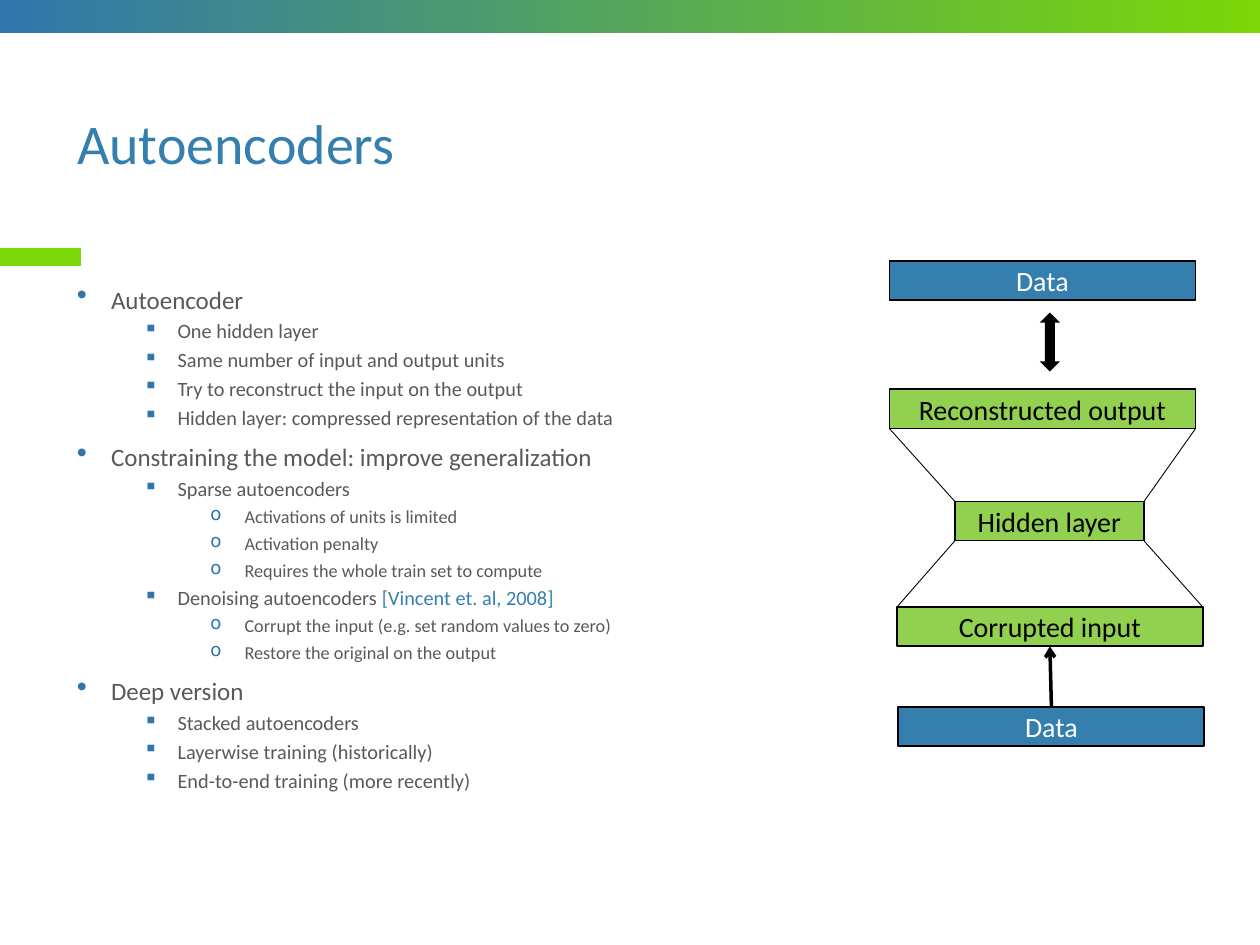
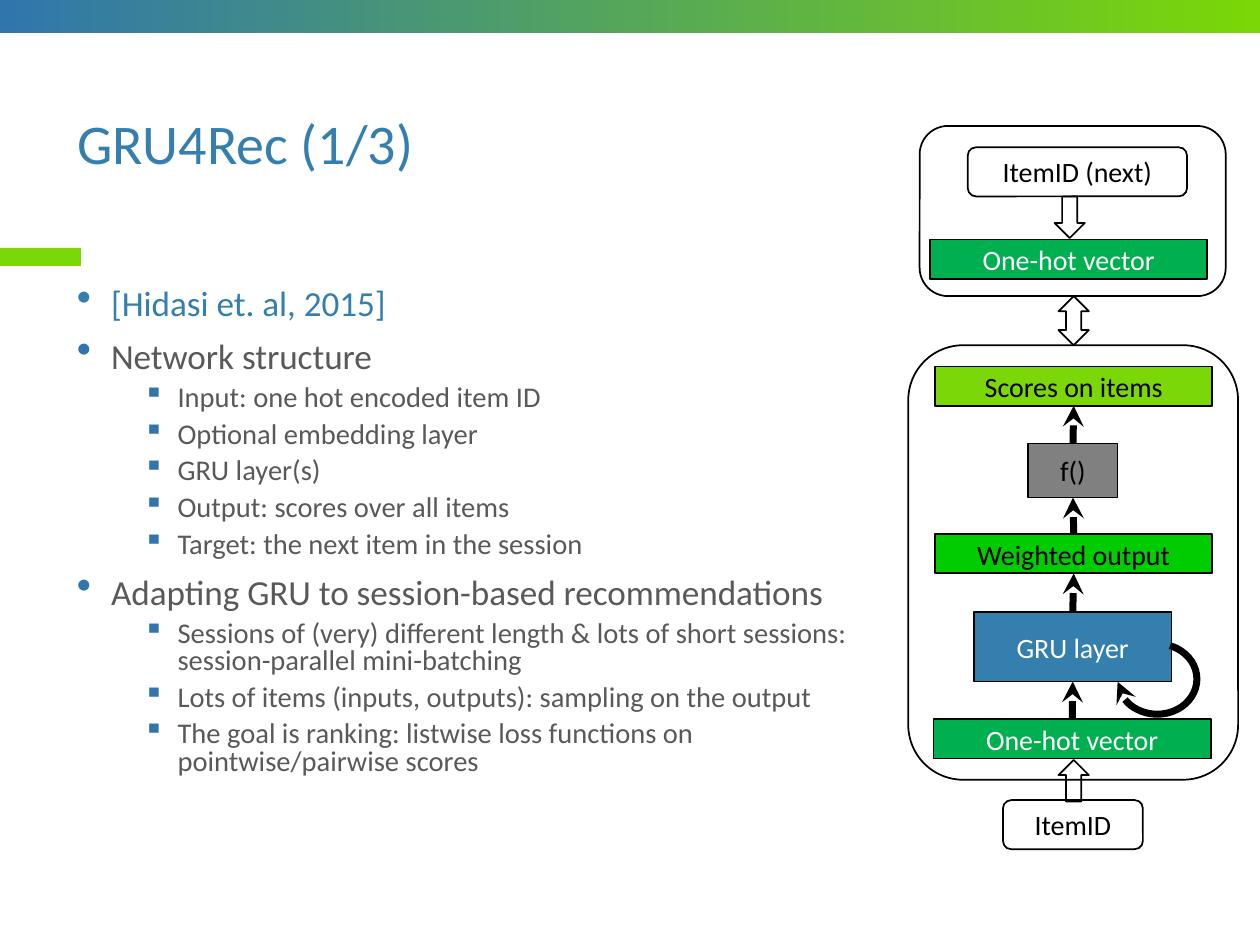
from dataclasses import dataclass

from lxml.etree import SubElement
from pptx import Presentation
from pptx.dml.color import RGBColor
from pptx.enum.shapes import MSO_CONNECTOR, MSO_SHAPE
from pptx.enum.text import MSO_ANCHOR, PP_ALIGN
from pptx.oxml.ns import qn
from pptx.util import Cm, Pt


@dataclass(frozen=True)
class Theme:
    font: str = "Calibri"
    blue: str = "347FAD"
    band_blue: str = "3076AD"
    lime: str = "7BD707"
    soft_green: str = "92D050"
    one_hot_green: str = "00B050"
    output_green: str = "00CC00"
    gray: str = "808080"
    body: str = "595959"
    black: str = "000000"
    white: str = "FFFFFF"
    title_size: float = 32
    label_size: float = 16
    dense_sizes: tuple = (14.3, 11.6, 10.4)
    normal_sizes: tuple = (20.1, 16.3)


@dataclass(frozen=True)
class Level:
    bullet: str
    indent: float
    space_before: float
    bullet_percent: int = 100


LEVELS = (Level("•", 0.69, 10.7, 120), Level("▪", 2.03, 5.3), Level("o", 3.38, 5.3))
HANGING = Cm(0.69)
TOP, BOTTOM = 0, 2
BOX_HEIGHT = 0.79

AUTOENCODER_POINTS = (
    (0, "Autoencoder"),
    (1, "One hidden layer"),
    (1, "Same number of input and output units"),
    (1, "Try to reconstruct the input on the output"),
    (1, "Hidden layer: compressed representation of the data"),
    (0, "Constraining the model: improve generalization"),
    (1, "Sparse autoencoders"),
    (2, "Activations of units is limited"),
    (2, "Activation penalty"),
    (2, "Requires the whole train set to compute"),
    (1, "Denoising autoencoders [Vincent et. al, 2008]"),
    (2, "Corrupt the input (e.g. set random values to zero)"),
    (2, "Restore the original on the output"),
    (0, "Deep version"),
    (1, "Stacked autoencoders"),
    (1, "Layerwise training (historically)"),
    (1, "End-to-end training (more recently)"),
)
GRU4REC_POINTS = (
    (0, "[Hidasi et. al, 2015]"),
    (0, "Network structure"),
    (1, "Input: one hot encoded item ID"),
    (1, "Optional embedding layer"),
    (1, "GRU layer(s)"),
    (1, "Output: scores over all items"),
    (1, "Target: the next item in the session"),
    (0, "Adapting GRU to session-based recommendations"),
    (1, "Sessions of (very) different length & lots of short sessions: "
        "session-parallel mini-batching"),
    (1, "Lots of items (inputs, outputs): sampling on the output"),
    (1, "The goal is ranking: listwise loss functions on pointwise/pairwise scores"),
)


def rgb(color):
    return RGBColor.from_string(color)


def add_arrowhead(shape, kind):
    SubElement(shape.element.spPr.find(qn("a:ln")), qn("a:tailEnd"), type=kind)


class Deck:
    def __init__(self, theme):
        self.theme = theme
        self.presentation = Presentation()
        self.presentation.slide_width = Cm(25.4)
        self.presentation.slide_height = Cm(19.05)
        self.slide = None

    def new_slide(self, title):
        layout = self.presentation.slide_layouts.get_by_name("Title Only")
        self.slide = self.presentation.slides.add_slide(layout)
        self.shape(MSO_SHAPE.RECTANGLE, 0, 5, 1.63, 0.36, self.theme.lime, line_width=0)
        self.band()
        self.title(title)

    def band(self):
        band = self.shape(MSO_SHAPE.RECTANGLE, 0, 0, 25.4, 0.66, line_width=0)
        band.fill.gradient()
        band.fill.gradient_angle = 0
        ends = (self.theme.band_blue, self.theme.lime)
        for position, (stop, color) in enumerate(zip(band.fill.gradient_stops, ends)):
            stop.position = position
            stop.color.rgb = rgb(color)

    def title(self, text):
        title = self.slide.shapes.title
        title.left, title.top = Cm(1.3), Cm(1.42)
        title.width, title.height = Cm(22.83), Cm(3.07)
        frame = title.text_frame
        frame.text = text
        frame.vertical_anchor = MSO_ANCHOR.MIDDLE
        paragraph = frame.paragraphs[0]
        paragraph.alignment = PP_ALIGN.LEFT
        paragraph.line_spacing = 0.9
        self.format_run(paragraph.runs[0], self.theme.title_size, self.theme.blue)

    def format_run(self, run, size, color):
        run.font.name = self.theme.font
        run.font.size = Pt(size)
        run.font.color.rgb = rgb(color)

    def outline(self, points, sizes, width):
        """Add a bulleted outline; a citation in brackets takes the title colour."""
        area = self.slide.shapes.add_textbox(Cm(1.3), Cm(5.72), Cm(width), Cm(10.87))
        frame = area.text_frame
        frame.word_wrap = True
        for index, (depth, text) in enumerate(points):
            paragraph = frame.add_paragraph() if index else frame.paragraphs[0]
            lead, bracket, citation = text.partition("[")
            self.bullet(paragraph, depth, self.theme.band_blue if lead else self.theme.blue)
            paragraph.line_spacing = 0.8
            if index:
                paragraph.space_before = Pt(LEVELS[depth].space_before)
            parts = ((lead, self.theme.body), (bracket + citation, self.theme.blue))
            for part, color in parts:
                if part:
                    run = paragraph.add_run()
                    run.text = part
                    self.format_run(run, sizes[depth], color)

    def bullet(self, paragraph, depth, color):
        level = LEVELS[depth]
        paragraph.level = depth
        properties = paragraph._p.get_or_add_pPr()
        properties.set("marL", str(Cm(level.indent)))
        properties.set("indent", str(-HANGING))
        bullet_color = SubElement(properties, qn("a:buClr"))
        SubElement(bullet_color, qn("a:srgbClr"), val=color)
        SubElement(properties, qn("a:buSzPct"), val=str(level.bullet_percent * 1000))
        SubElement(properties, qn("a:buChar"), char=level.bullet)

    def shape(self, kind, left, top, width, height, fill=None, line_width=1.0):
        shape = self.slide.shapes.add_shape(kind, Cm(left), Cm(top), Cm(width), Cm(height))
        shape.shadow.inherit = False
        if fill:
            shape.fill.solid()
            shape.fill.fore_color.rgb = rgb(fill)
        else:
            shape.fill.background()
        if line_width:
            shape.line.color.rgb = rgb(self.theme.black)
            shape.line.width = Pt(line_width)
        else:
            shape.line.fill.background()
        return shape

    def box(self, text, left, top, width, height=BOX_HEIGHT, fill=None,
            color=None, kind=MSO_SHAPE.RECTANGLE):
        box = self.shape(kind, left, top, width, height, fill)
        frame = box.text_frame
        frame.text = text
        frame.word_wrap = False
        frame.vertical_anchor = MSO_ANCHOR.MIDDLE
        paragraph = frame.paragraphs[0]
        paragraph.alignment = PP_ALIGN.CENTER
        self.format_run(paragraph.runs[0], self.theme.label_size, color or self.theme.black)
        return box

    def item(self, text, left, top, width):
        return self.box(text, left, top, width, 0.99, kind=MSO_SHAPE.ROUNDED_RECTANGLE)

    def line(self, start, end, width):
        line = self.slide.shapes.add_connector(MSO_CONNECTOR.STRAIGHT, *start, *end)
        line.line.color.rgb = rgb(self.theme.black)
        line.line.width = Pt(width)
        SubElement(line.element.spPr, qn("a:effectLst"))
        return line

    def arrow_up(self, lower, upper, width, head):
        arrow = self.line((lower.left, lower.top), (upper.left, upper.top), width)
        arrow.begin_connect(lower, TOP)
        arrow.end_connect(upper, BOTTOM)
        add_arrowhead(arrow, head)

    def funnel(self, upper, lower):
        """Join the facing corners of two boxes."""
        bottom = upper.top + upper.height
        self.line((upper.left, bottom), (lower.left, lower.top), 0.5)
        self.line((upper.left + upper.width, bottom),
                  (lower.left + lower.width, lower.top), 0.5)

    def loop(self, left, top, width, height, start, end):
        """Draw a clockwise arc with an arrowhead; angles are in degrees."""
        loop = self.shape(MSO_SHAPE.ARC, left, top, width, height, line_width=4)
        for index, angle in enumerate((start, end)):
            loop.adjustments[index] = angle * 0.6
        add_arrowhead(loop, "stealth")


def autoencoders(deck):
    theme = deck.theme
    deck.new_slide("Autoencoders")
    deck.outline(AUTOENCODER_POINTS, theme.dense_sizes, 22.83)
    width = 6.17
    deck.box("Data", 17.93, 5.26, width, fill=theme.blue, color=theme.white)
    corrupted = deck.box("Corrupted input", 18.08, 12.24, width, fill=theme.soft_green)
    hidden = deck.box("Hidden layer", 19.25, 10.11, 3.81, fill=theme.soft_green)
    reconstructed = deck.box("Reconstructed output", 17.93, 7.85, width,
                             fill=theme.soft_green)
    data = deck.box("Data", 18.11, 14.25, width, fill=theme.blue, color=theme.white)
    deck.arrow_up(data, corrupted, 2, "arrow")
    deck.funnel(reconstructed, hidden)
    deck.funnel(hidden, corrupted)
    deck.shape(MSO_SHAPE.UP_DOWN_ARROW, 20.96, 6.3, 0.41, 1.19, theme.black, line_width=0)


def gru4rec(deck):
    theme = deck.theme
    deck.new_slide("GRU4Rec (1/3)")
    deck.outline(GRU4REC_POINTS, theme.normal_sizes, 17.02)
    width = 5.59

    gru = deck.box("GRU layer", 19.63, 12.34, 3.99, 1.4, theme.blue, theme.white)
    one_hot_input = deck.box("One-hot vector", 18.82, 14.5, width,
                             fill=theme.one_hot_green, color=theme.white)
    weighted = deck.box("Weighted output", 18.85, 10.77, width, fill=theme.output_green)
    activation = deck.box("f()", 20.73, 8.94, 1.8, 1.09, theme.gray)
    scores = deck.box("Scores on items", 18.85, 7.39, width, fill=theme.lime)
    layers = (one_hot_input, gru, weighted, activation, scores)
    for lower, upper in zip(layers, layers[1:]):
        deck.arrow_up(lower, upper, 4, "stealth")
    deck.loop(22.53, 12.98, 1.6, 1.42, 291, 176)

    deck.shape(MSO_SHAPE.UP_ARROW, 21.34, 15.32, 0.61, 0.84, theme.white)
    deck.shape(MSO_SHAPE.ROUNDED_RECTANGLE, 18.31, 6.96, 6.65, 8.76)
    deck.shape(MSO_SHAPE.UP_DOWN_ARROW, 21.34, 5.97, 0.61, 0.99, theme.white)
    deck.item("ItemID", 20.22, 16.13, 2.82)

    deck.box("One-hot vector", 18.75, 4.83, width,
             fill=theme.one_hot_green, color=theme.white)
    deck.shape(MSO_SHAPE.DOWN_ARROW, 21.26, 3.96, 0.61, 0.84, theme.white)
    deck.item("ItemID (next)", 19.51, 2.97, 4.42)
    deck.shape(MSO_SHAPE.ROUNDED_RECTANGLE, 18.54, 2.54, 6.17, 3.43)


def main():
    deck = Deck(Theme())
    autoencoders(deck)
    gru4rec(deck)
    deck.presentation.save("out.pptx")


if __name__ == "__main__":
    main()
